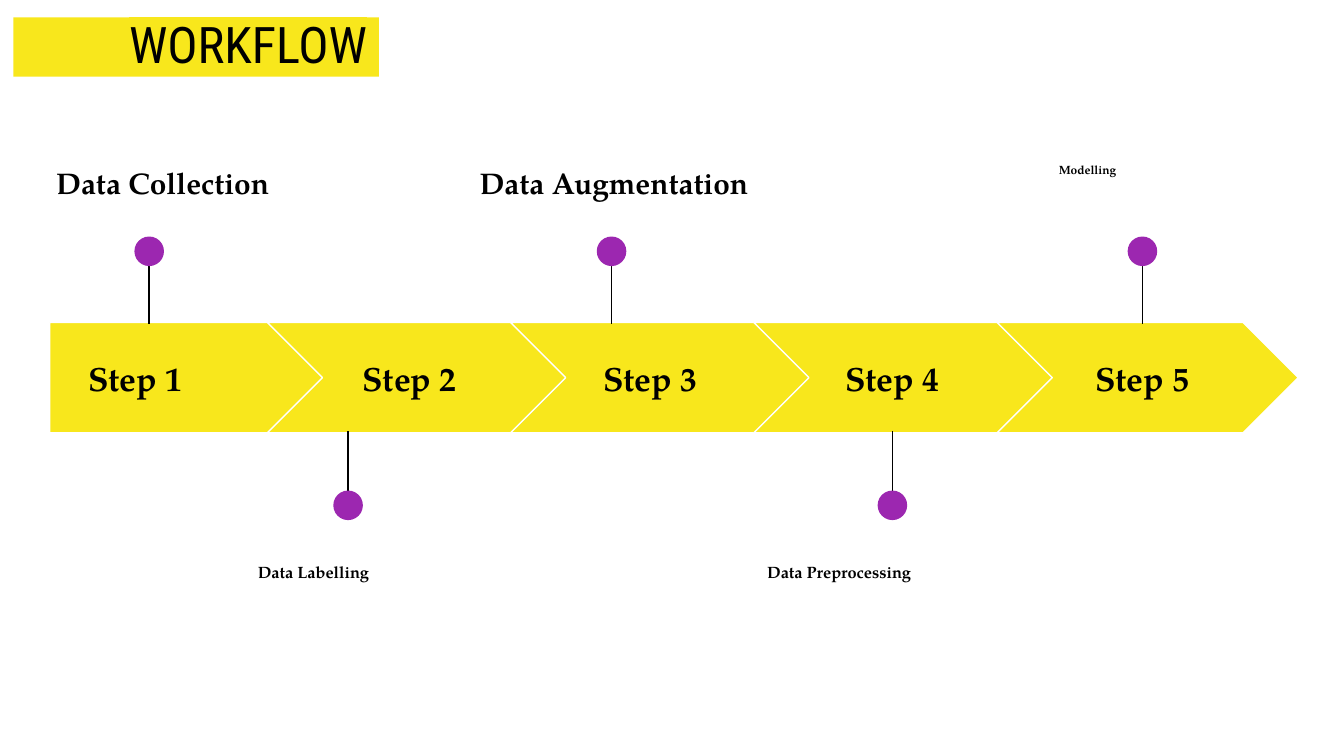
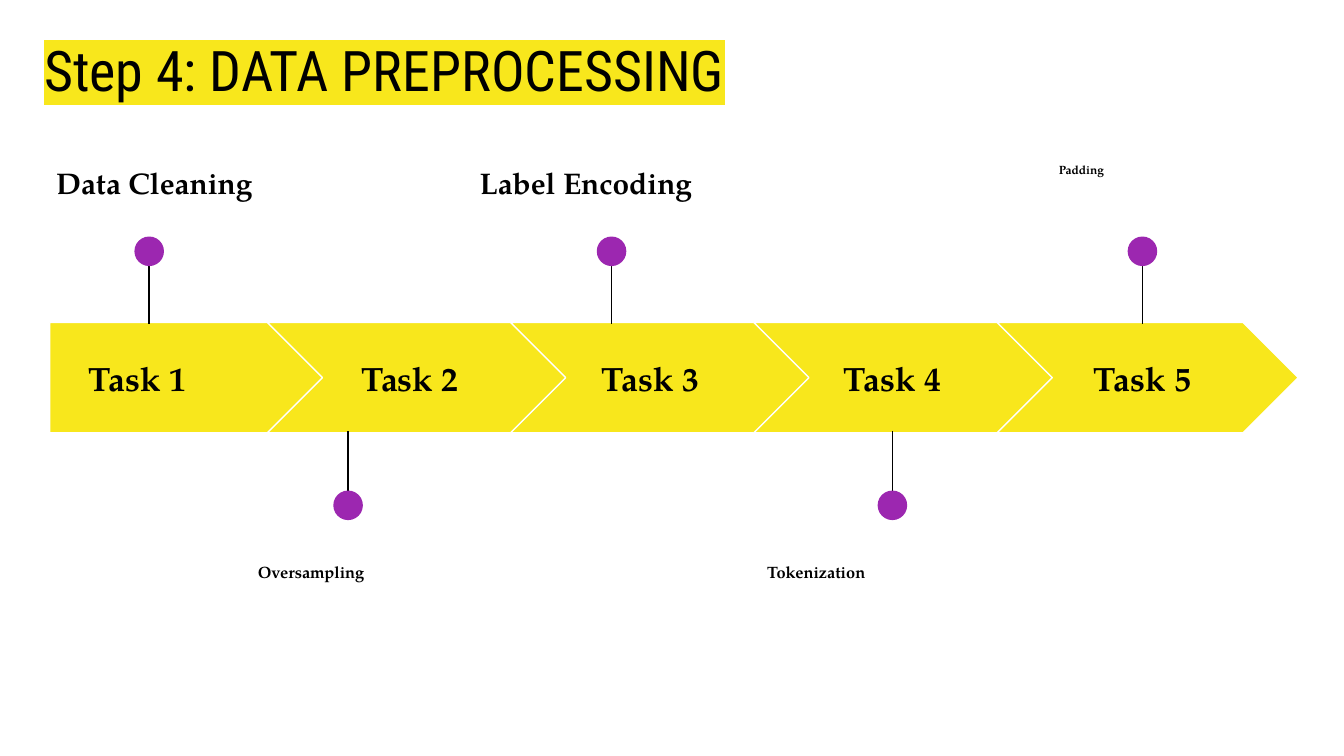
from lxml import etree
from pptx import Presentation
from pptx.dml.color import RGBColor
from pptx.enum.shapes import MSO_CONNECTOR, MSO_SHAPE
from pptx.enum.text import MSO_ANCHOR, PP_ALIGN
from pptx.oxml.ns import qn
from pptx.util import Inches, Pt

STRAIGHT = MSO_CONNECTOR.STRAIGHT
RECT, OVAL = MSO_SHAPE.RECTANGLE, MSO_SHAPE.OVAL
PENTAGON, CHEVRON = MSO_SHAPE.PENTAGON, MSO_SHAPE.CHEVRON
TOP, MIDDLE = MSO_ANCHOR.TOP, MSO_ANCHOR.MIDDLE
LEFT, CENTER = PP_ALIGN.LEFT, PP_ALIGN.CENTER

YELLOW, PURPLE, BLACK, WHITE = "F8E71C", "9C27B0", "000000", "FFFFFF"
TITLE_FONT, BODY_FONT = "Roboto Condensed", "TeX Gyre Pagella"

ARROW_TOP, ARROW_H, ARROW_STEP = 2.4, 0.82, 1.81
DOT = 0.22
STEP_LEFTS = [0.37, 2.33, 4.12, 5.92, 7.78]
PIN_XS = [1.11, 2.59, 4.55, 6.64, 8.5]
CAPTIONS = [
    ((0.32, 1.11, 2.45, 0.65), 16, 1.05, 0.1),
    ((1.82, 4.11, 2.45, 0.51), 8.8, 0.95, 0.13),
    ((3.47, 1.11, 2.45, 0.65), 16, 1.05, 0.1),
    ((5.61, 4.11, 2.45, 0.51), 8.8, 0.95, 0.13),
    ((7.78, 1.15, 2.45, 0.47), 6.4, 0.95, 0.14),
]


def rgb(color):
    return RGBColor.from_string(color)


def add_shape(shapes, kind, box, fill, line=None):
    sp = shapes.add_shape(kind, *map(Inches, box))
    sp.shadow.inherit = False
    sp.fill.solid()
    sp.fill.fore_color.rgb = rgb(fill)
    if line:
        sp.line.color.rgb = rgb(line)
        sp.line.width = Pt(0.75)
    else:
        sp.line.fill.background()
    return sp


def add_text(s, box, text, size, font=BODY_FONT, bold=True, align=LEFT,
             anchor=TOP, indent=0, inset_top=0.1):
    tf = s.shapes.add_textbox(*map(Inches, box)).text_frame
    tf.word_wrap = True
    tf.vertical_anchor = anchor
    tf.margin_top = Inches(inset_top)
    tf.margin_bottom = tf.margin_right = Inches(0.1)
    tf.margin_left = Inches(0.1 + indent)
    p = tf.paragraphs[0]
    p.alignment = align
    r = p.add_run()
    r.text = text
    r.font.size = Pt(size)
    r.font.name = font
    r.font.bold = bold
    r.font.color.rgb = rgb(BLACK)
    return p


def add_title(s, box, text, size, anchor, indent=0):
    p = add_text(s, box, text, size, TITLE_FONT, False, LEFT, anchor, indent)
    highlight = etree.Element(qn("a:highlight"))
    etree.SubElement(highlight, qn("a:srgbClr"), val=YELLOW)
    p.runs[0].font._element.find(qn("a:solidFill")).addnext(highlight)


def add_arrow(s, i):
    if i == 0:
        kind, left, width = PENTAGON, 0.37, 2.05
    else:
        kind, left, width = CHEVRON, 1.99 + ARROW_STEP * (i - 1), 2.24
    sp = add_shape(s.shapes, kind, (left, ARROW_TOP, width, ARROW_H), YELLOW, WHITE)
    sp.adjustments[0] = 0.5


def add_step(s, i, text):
    left = STEP_LEFTS[i]
    if i == 0:
        add_text(s, (left, 2.56, 1.59, 0.51), text, 18, anchor=MIDDLE, indent=0.19)
    else:
        add_text(s, (left, 2.56, 1.44, 0.51), text, 18, align=CENTER, anchor=MIDDLE)


def add_pin(s, x, above):
    start, end, dot_top = (1.8, 2.41, 1.76) if above else (3.82, 3.21, 3.65)
    shapes = s.shapes.add_group_shape().shapes
    line = shapes.add_connector(STRAIGHT, Inches(x), Inches(start), Inches(x), Inches(end))
    line.line.color.rgb = rgb(BLACK)
    line.line.width = Pt(0.75)
    etree.SubElement(line._element.spPr, qn("a:effectLst"))
    add_shape(shapes, OVAL, (x - DOT / 2, dot_top, DOT, DOT), PURPLE)


def add_caption(s, i, text):
    box, size, spacing, inset_top = CAPTIONS[i]
    p = add_text(s, box, text, size, inset_top=inset_top)
    p.line_spacing = spacing
    p.space_after = Pt(12)


def add_timeline(s, word, captions):
    for i, caption in enumerate(captions):
        add_arrow(s, i)
        add_step(s, i, f"{word} {i + 1}")
        add_pin(s, PIN_XS[i], i % 2 == 0)
        add_caption(s, i, caption)


def add_slide(prs):
    s = prs.slides.add_slide(prs.slide_layouts[6])
    s.background.fill.solid()
    s.background.fill.fore_color.rgb = rgb(WHITE)
    return s


def main():
    prs = Presentation()
    prs.slide_width = Inches(10)
    prs.slide_height = Inches(10) * 9 // 16

    s = add_slide(prs)
    add_timeline(s, "Step", ["Data Collection", "Data Labelling", "Data Augmentation",
                             "Data Preprocessing", "Modelling"])
    add_shape(s.shapes, RECT, (0.1, 0.13, 2.72, 0.44), YELLOW)
    add_title(s, (0, 0, 9.32, 0.63), "WORKFLOW", 27, TOP, indent=0.86)

    s = add_slide(prs)
    add_timeline(s, "Task", ["Data Cleaning", "Oversampling", "Label Encoding",
                             "Tokenization", "Padding"])
    add_title(s, (0.23, -0.42, 6.59, 1.87), "Step 4: DATA PREPROCESSING", 30, MIDDLE)

    prs.save("out.pptx")


if __name__ == "__main__":
    main()
